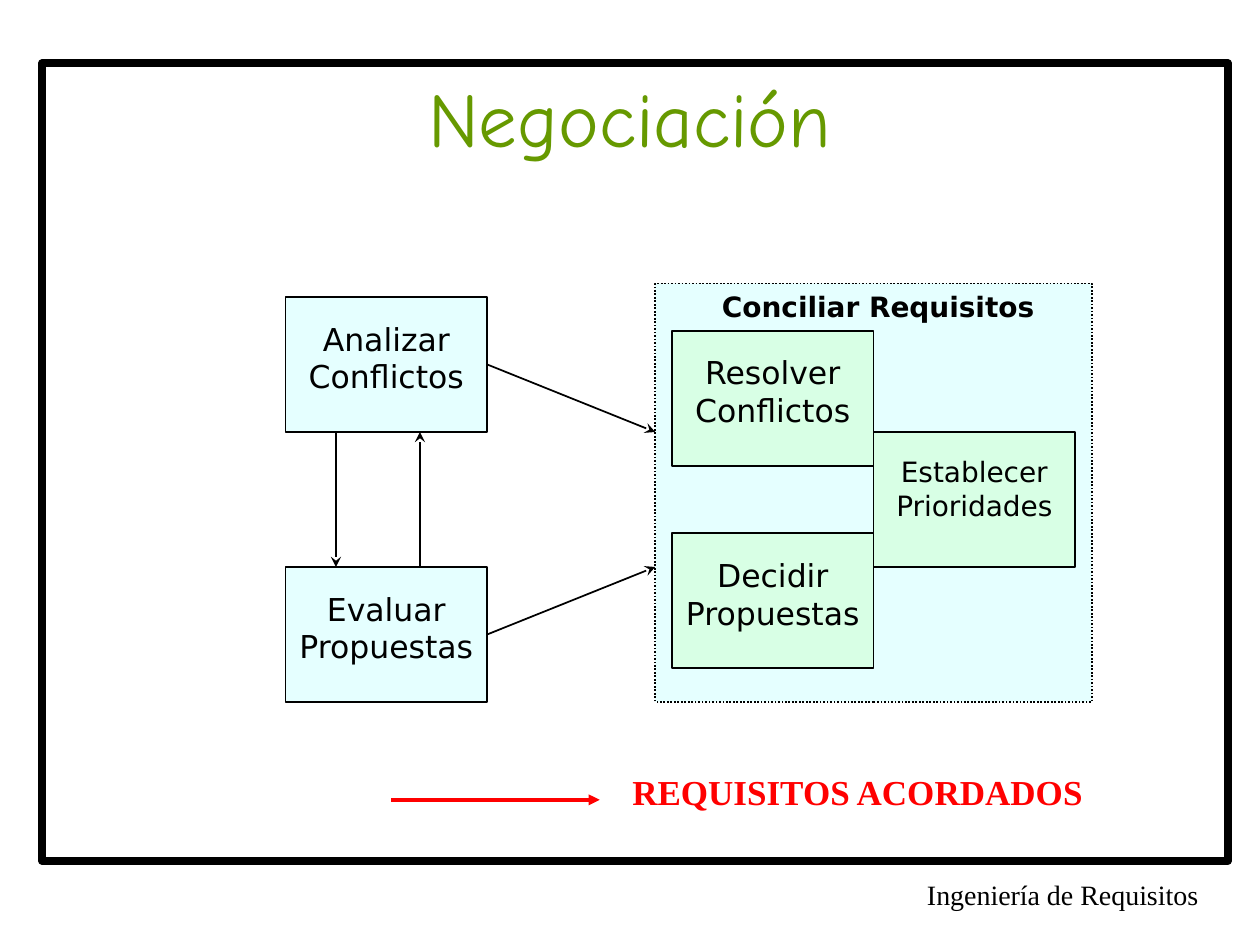
from pptx import Presentation
from pptx.dml.color import RGBColor
from pptx.enum.dml import MSO_LINE as Dash
from pptx.enum.shapes import MSO_CONNECTOR as Link, MSO_SHAPE as Form
from pptx.enum.text import MSO_ANCHOR as Anchor, PP_ALIGN as Align
from pptx.oxml.ns import qn
from pptx.util import Emu, Inches, Pt
from lxml.etree import SubElement as Sub

deck = Presentation()
deck.slide_width, deck.slide_height = Inches(10), Inches(7.5)
slide = deck.slides.add_slide(deck.slide_layouts[5])
shapes = slide.shapes
hue = RGBColor.from_string
col, row = deck.slide_width / 75, deck.slide_height / 56
sans, serif = "DejaVu Sans", "Times New Roman"


def grid(x, y):
    return Emu(x * col), Emu(y * row)


def write(shape, text, font, size, color, align, bold=False, anchor=Anchor.TOP):
    frame = shape.text_frame
    frame.word_wrap = True
    frame.vertical_anchor = anchor
    para = frame.paragraphs[0]
    para.alignment = align
    run = para.add_run()
    run.text = text
    run.font.name, run.font.size, run.font.bold = font, Pt(size), bold
    run.font.color.rgb = hue(color)
    return frame


border = shapes.add_shape(Form.RECTANGLE, *grid(2.5, 3.75), *grid(70.6, 47.25))
border.shadow.inherit = False
border.fill.background()
border.line.color.rgb = hue("000000")
border.line.width = Pt(4.5)

foot = shapes.add_textbox(*grid(6.9, 51.65), *grid(65, 2.8))
frame = write(foot, "Ingeniería de Requisitos ", serif, 16, "000000", Align.RIGHT)
frame.margin_left = frame.margin_right = Inches(0.02)

title = shapes.title
title.left, title.top = grid(3.75, 2.25)
title.width, title.height = grid(67.5, 9.35)
write(title, "Negociación", "Comic Neue", 44, "669900", Align.CENTER, anchor=Anchor.MIDDLE)

boxes = {}
for name, x, y, w, h, color, size in [
    ("Evaluar Propuestas", 17, 33.6, 12, 8, "CCFFFF", 18),
    ("Analizar Conflictos", 17, 17.6, 12, 8, "CCFFFF", 18),
    ("", 39, 16.8, 26, 24.8, "CCFFFF", 0),
    ("Resolver Conflictos", 40, 19.6, 12, 8, "CCFFCC", 18),
    ("Decidir Propuestas", 40, 31.6, 12, 8, "CCFFCC", 18),
    ("Establecer Prioridades", 52, 25.6, 12, 8, "CCFFCC", 16),
]:
    box = shapes.add_shape(Form.RECTANGLE, *grid(x, y), *grid(w, h))
    box.shadow.inherit = False
    box.fill.solid()
    box.fill.fore_color.rgb = hue(color)
    tint = box.fill._xPr.find(qn("a:solidFill"))[0]
    Sub(tint, qn("a:alpha"), val="50000")
    box.line.color.rgb = hue("000000")
    box.line.width = Pt(1)
    if name:
        frame = write(box, name, sans, size, "000000", Align.CENTER)
        frame.margin_top = Inches(0.18)
    else:
        box.line.dash_style = Dash.ROUND_DOT
    boxes[name] = box

head = shapes.add_textbox(*grid(41.85, 16.8), *grid(20.85, 4))
write(head, "Conciliar Requisitos", sans, 16, "000000", Align.CENTER, True)

for start, end, source, color, width, tip in [
    ((29, 21.6), (39, 25.6), "Analizar Conflictos", "000000", 1, "stealth"),
    ((29, 37.6), (39, 33.6), "Evaluar Propuestas", "000000", 1, "stealth"),
    ((20, 25.6), (20, 33.6), None, "000000", 1, "stealth"),
    ((25, 33.6), (25, 25.6), None, "000000", 1, "stealth"),
    ((23.3, 47.4), (35.7, 47.4), None, "FF0000", 2.13, "triangle"),
]:
    link = shapes.add_connector(Link.STRAIGHT, *grid(*start), *grid(*end))
    if source:
        link.begin_connect(boxes[source], 3)
    link.line.color.rgb = hue(color)
    link.line.width = Pt(width)
    Sub(link.line._get_or_add_ln(), qn("a:tailEnd"), type=tip)
    Sub(link._element.spPr, qn("a:effectLst"))

goal = shapes.add_textbox(*grid(36.9, 45.3), *grid(28.4, 3.3))
frame = write(goal, "REQUISITOS ACORDADOS", serif, 20, "FF0000", Align.LEFT, True)
frame.word_wrap = False

deck.save("out.pptx")
